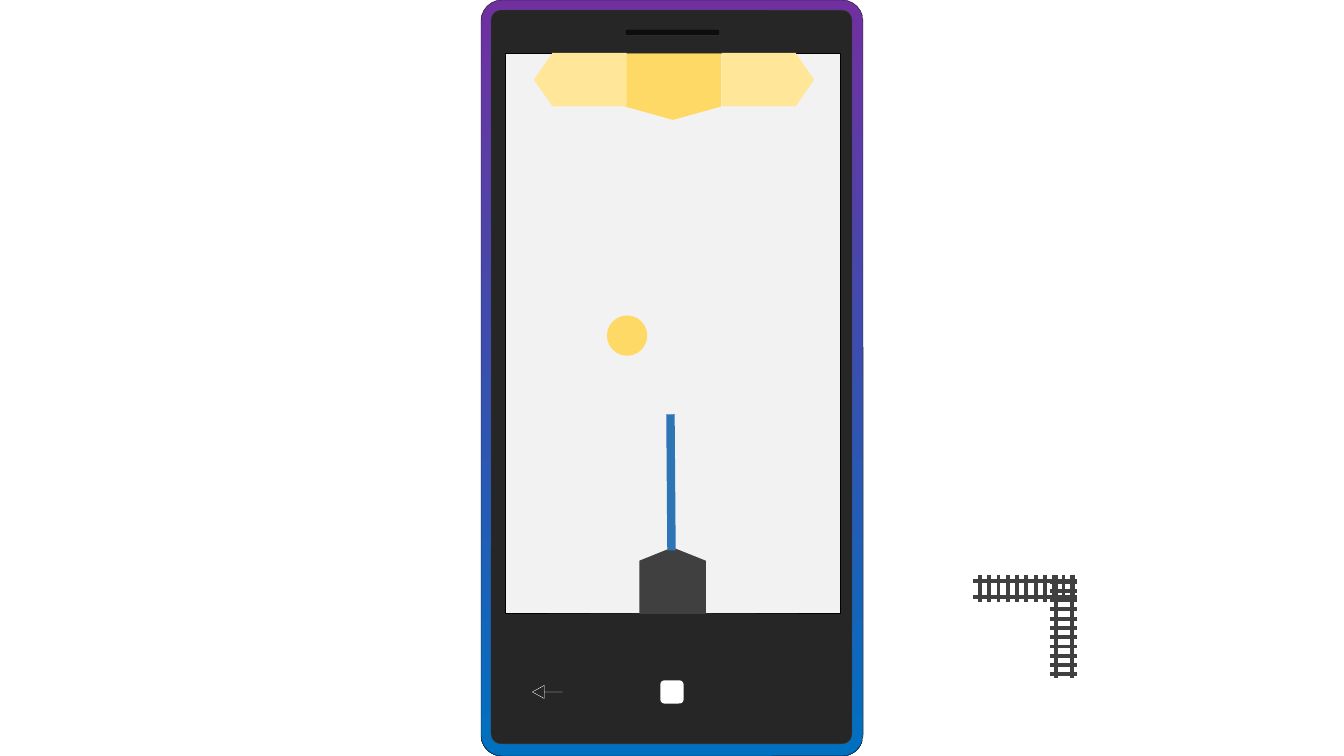
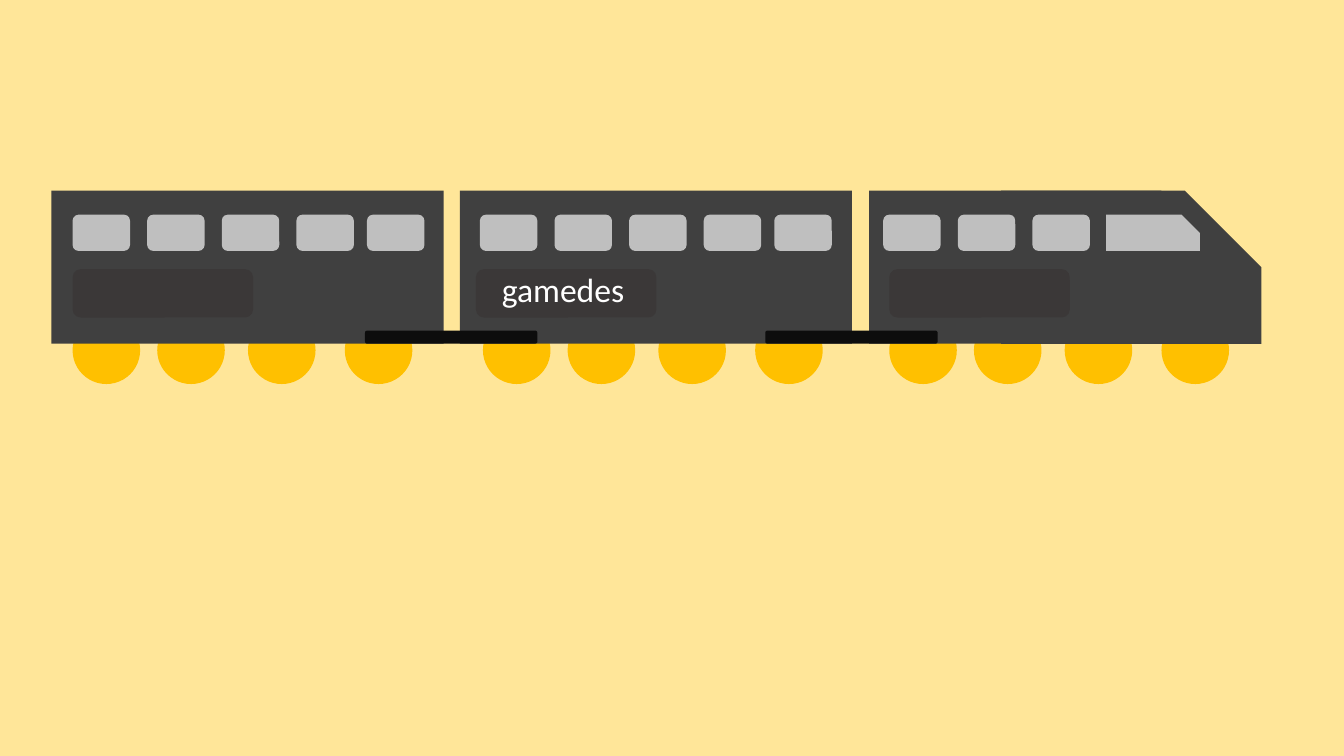
from lxml.etree import SubElement
from pptx import Presentation
from pptx.dml.color import RGBColor
from pptx.enum.shapes import MSO_CONNECTOR, MSO_SHAPE
from pptx.enum.text import MSO_AUTO_SIZE, PP_ALIGN
from pptx.oxml.ns import qn
from pptx.util import Inches, Pt

WHITE = RGBColor(0xFF, 0xFF, 0xFF)
BLACK = RGBColor(0x00, 0x00, 0x00)
INK = RGBColor(0x0D, 0x0D, 0x0D)
CASE = RGBColor(0x26, 0x26, 0x26)
PLATE = RGBColor(0x3B, 0x38, 0x38)
STEEL = RGBColor(0x40, 0x40, 0x40)
GLASS = RGBColor(0xBF, 0xBF, 0xBF)
SCREEN = RGBColor(0xF2, 0xF2, 0xF2)
PURPLE = RGBColor(0x70, 0x30, 0xA0)
BLUE = RGBColor(0x00, 0x70, 0xC0)
BEAM = RGBColor(0x2E, 0x75, 0xB6)
SAND = RGBColor(0xFF, 0xE6, 0x99)
GOLD = RGBColor(0xFF, 0xD9, 0x66)
AMBER = RGBColor(0xFF, 0xC0, 0x00)

RECT = MSO_SHAPE.RECTANGLE
ROUND = MSO_SHAPE.ROUNDED_RECTANGLE
OVAL = MSO_SHAPE.OVAL
SNIP = MSO_SHAPE.SNIP_1_RECTANGLE
HOUSE = MSO_SHAPE.FLOWCHART_OFFPAGE_CONNECTOR

WHEELS = (0, 0.84, 1.74, 2.7)
PANES = (0, 0.74, 1.48, 2.22, 2.92)


def add_part(slide, kind, box, fill=None, edge=None, adj=(), turn=0):
    """Add a flat preset shape in a box given in inches."""
    part = slide.shapes.add_shape(kind, *map(Inches, box))
    part.shadow.inherit = False
    part.rotation = turn
    for spot, value in enumerate(adj):
        part.adjustments[spot] = value
    if fill is None:
        part.fill.background()
    else:
        part.fill.solid()
        part.fill.fore_color.rgb = fill
    if edge is None:
        part.line.fill.background()
    else:
        part.line.color.rgb = edge
        part.line.width = Pt(0.25)
    return part


def add_line(shapes, start, end, color, width):
    """Add a straight line without shadow."""
    line = shapes.add_connector(
        MSO_CONNECTOR.STRAIGHT, *map(Inches, (*start, *end)))
    line.line.color.rgb = color
    line.line.width = Pt(width)
    SubElement(line._element.spPr, qn("a:effectLst"))


def add_slide(deck, color):
    """Add a blank slide with a plain background."""
    slide = deck.slides.add_slide(deck.slide_layouts[6])
    slide.background.fill.solid()
    slide.background.fill.fore_color.rgb = color
    return slide


def add_phone(slide, left, top):
    """Draw the phone with its screen, speaker and buttons."""
    shell = add_part(slide, ROUND, (left, top, 3.79, 7.5), BLUE, INK, [0.055])
    shell.fill.gradient()
    shell.fill.gradient_angle = 270
    for stop, color in zip(shell.fill.gradient_stops, (PURPLE, BLUE)):
        stop.color.rgb = color
    add_part(slide, ROUND, (left + 0.1, top + 0.1, 3.58, 7.28),
             CASE, STEEL, [0.028])
    add_part(slide, RECT, (left + 0.24, top + 0.53, 3.32, 5.55),
             SCREEN, BLACK)
    add_part(slide, MSO_SHAPE.LEFT_ARROW, (left + 0.51, top + 6.8, 0.3, 0.13),
             edge=WHITE, adj=[0, 0.912])
    add_part(slide, ROUND, (left + 1.78, top + 6.75, 0.23, 0.23), WHITE)
    add_part(slide, ROUND, (left + 1.43, top + 0.29, 0.94, 0.06), INK, STEEL)


def add_game(slide, left, top):
    """Draw the game on the phone screen."""
    add_part(slide, HOUSE, (left + 1.19, top, 0.95, 0.66), GOLD)
    add_part(slide, HOUSE, (left + 1.33, top + 4.9, 0.66, 0.66),
             STEEL, turn=180)
    add_part(slide, OVAL, (left + 1.01, top + 2.6, 0.4, 0.4), GOLD)
    for shift, turn in ((0.48, 90), (2.34, 270)):
        add_part(slide, HOUSE, (left + shift, top - 0.2, 0.53, 0.92),
                 SAND, turn=turn)
    add_line(slide.shapes, (left + 1.64, top + 3.58),
             (left + 1.65, top + 4.93), BEAM, 6)


def add_track(slide, left, top, down=False):
    """Draw a grouped rail track running right or down."""
    group = slide.shapes.add_group_shape()
    rails = [((0, side), (1.03, side)) for side in (0.06, 0.22)]
    ties = [((0.07 + 0.92 * i / 10, 0), (0.07 + 0.92 * i / 10, 0.27))
            for i in range(11)]
    for ends in rails + ties:
        start, end = [(left + x, top + y) for x, y in
                      (point[::-1] if down else point for point in ends)]
        add_line(group.shapes, start, end, STEEL, 2.75)


def add_car(slide, left, top, wheel, pane, plate, front=False):
    """Draw a train car, or the front car with its sloped nose."""
    for shift in WHEELS:
        add_part(slide, OVAL, (left + wheel + shift, top + 1.25, 0.67, 0.67),
                 AMBER)
    add_part(slide, RECT, (left, top, 2.9 if front else 3.89, 1.52), STEEL)
    if front:
        add_part(slide, SNIP, (left + 1.31, top, 2.58, 1.52),
                 STEEL, adj=[0.5])
        add_part(slide, SNIP, (left + 2.35, top + 0.24, 0.93, 0.36),
                 GLASS, adj=[0.5])
    for shift in PANES[:3] if front else PANES:
        add_part(slide, ROUND, (left + pane + shift, top + 0.24, 0.57, 0.36),
                 GLASS)
    add_part(slide, ROUND, (left + plate, top + 0.78, 1.79, 0.48), PLATE)


def add_label(slide, box, text):
    """Add centred white text in a box."""
    label = slide.shapes.add_textbox(*map(Inches, box))
    frame = label.text_frame
    frame.word_wrap = True
    frame.auto_size = MSO_AUTO_SIZE.SHAPE_TO_FIT_TEXT
    frame.text = text
    line = frame.paragraphs[0]
    line.alignment = PP_ALIGN.CENTER
    font = line.runs[0].font
    font.name = "Calibri"
    font.size = Pt(24)
    font.color.rgb = WHITE


def add_train(slide, left, top):
    """Draw the three cars, their couplers and the name."""
    add_car(slide, left, top, 0.21, 0.21, 0.21)
    add_car(slide, left + 4.05, top, 0.23, 0.2, 0.16)
    add_car(slide, left + 8.11, top, 0.2, 0.14, 0.2, front=True)
    for shift in (3.11, 7.08):
        add_part(slide, ROUND, (left + shift, top + 1.39, 1.71, 0.13), INK)
    add_label(slide, (left + 4.05, top + 0.73, 2.05, 0.5), "gamedes")


def main():
    """Build and save the deck."""
    deck = Presentation()
    deck.slide_width = Inches(13.33)
    deck.slide_height = Inches(7.5)
    phone = add_slide(deck, WHITE)
    add_phone(phone, 4.77, 0)
    add_game(phone, 5.01, 0.53)
    add_track(phone, 9.65, 5.7)
    add_track(phone, 10.41, 5.7, down=True)
    train = add_slide(deck, SAND)
    add_train(train, 0.51, 1.89)
    deck.save("out.pptx")


if __name__ == "__main__":
    main()
